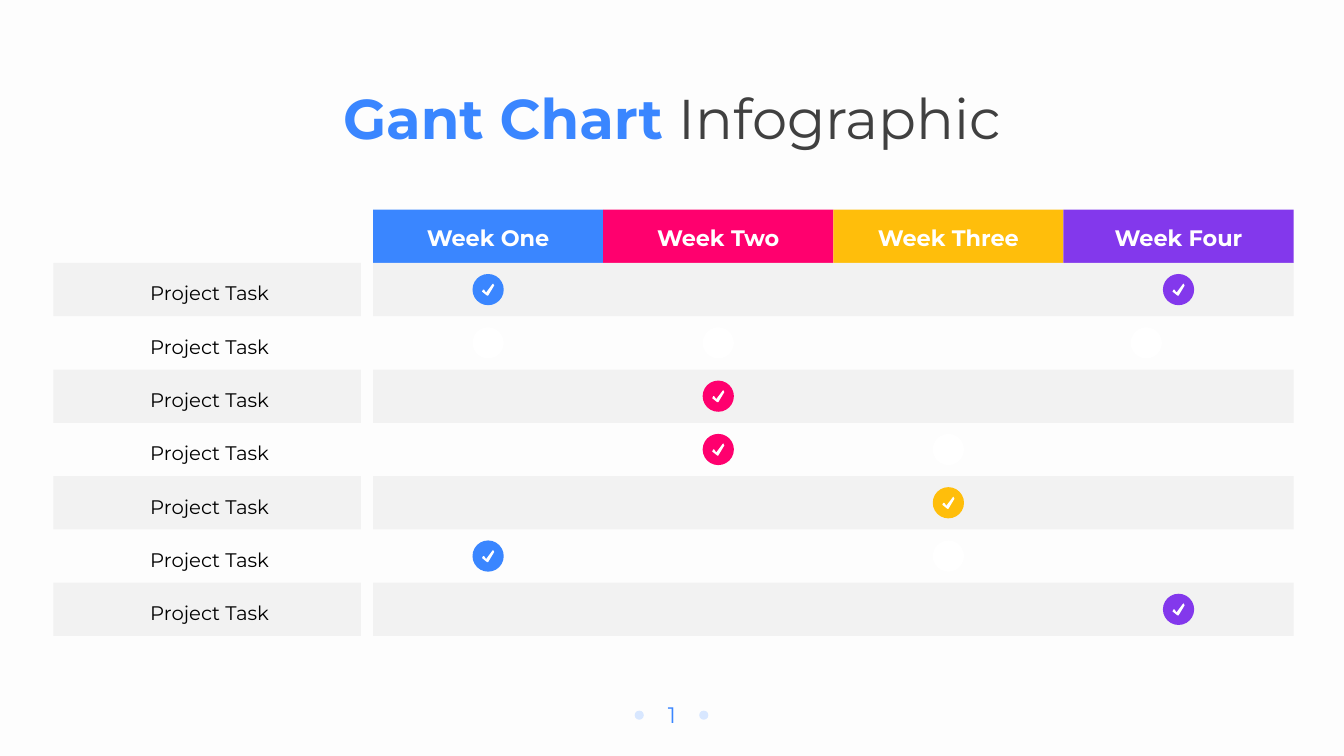
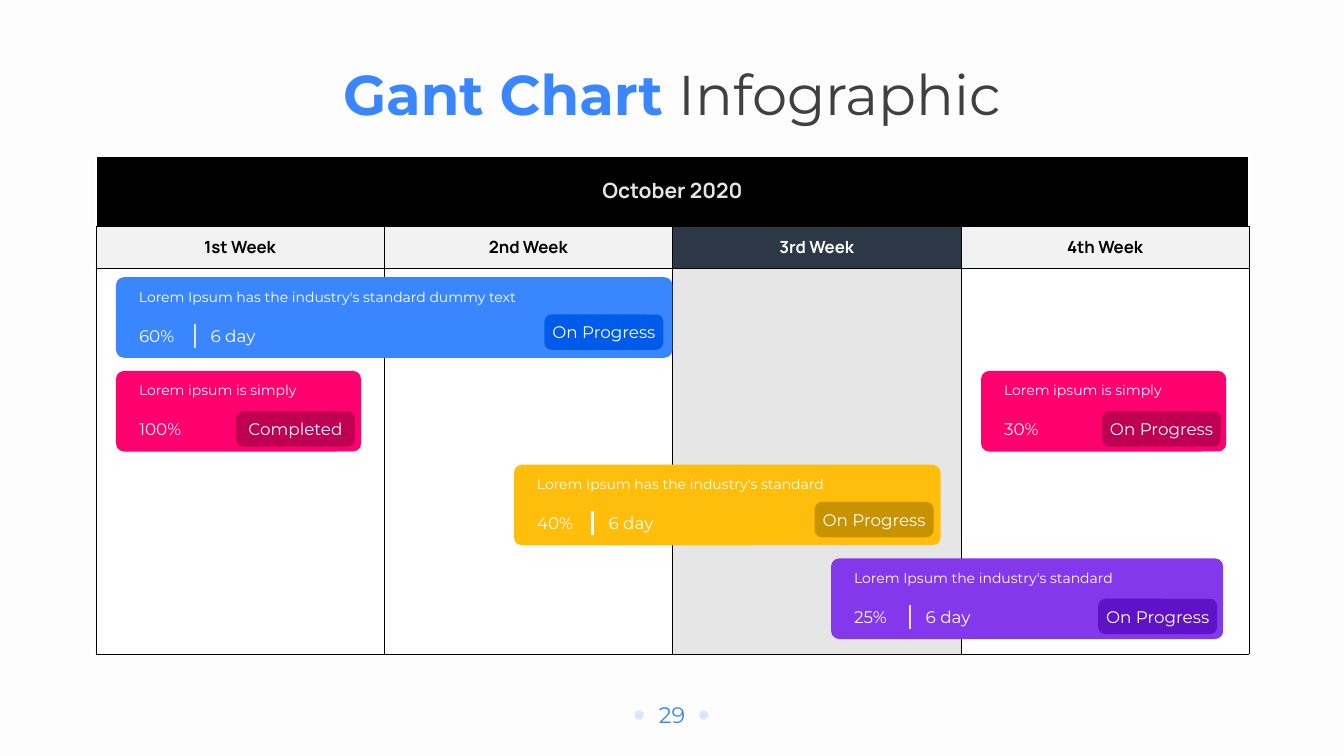
from dataclasses import dataclass

from lxml import etree
from pptx import Presentation
from pptx import util as u
from pptx.dml.color import RGBColor
from pptx.enum import shapes, text
from pptx.oxml import ns

COLOURS = {
    "paper": "FDFDFD", "white": "FFFFFF", "black": "000000", "ink": "404040",
    "blue": "3A86FF", "pink": "FF006E", "yellow": "FFBE0B", "purple": "8338EC",
    "dark blue": "005BEB", "dark pink": "BF0052", "dark yellow": "C89200",
    "dark purple": "5E13C8", "pale blue": "D8E7FF", "band": "F2F2F2",
    "silver": "E7E6E6", "navy": "2D3847",
}
WIDTH, HEIGHT = 13.33, 7.5
BODY_FONT, TABLE_FONT = "Montserrat", "Manrope"
SHAPE = shapes.MSO_SHAPE
CENTER, LEFT = text.PP_ALIGN.CENTER, text.PP_ALIGN.LEFT
TOP, MIDDLE = text.MSO_ANCHOR.TOP, text.MSO_ANCHOR.MIDDLE

WEEKS = [("Week One", "blue"), ("Week Two", "pink"),
         ("Week Three", "yellow"), ("Week Four", "purple")]
TASKS = ["Project Task"] * 7
# Task row and week column of each dot; white dots are open
DONE = [(0, 0), (5, 0), (2, 1), (3, 1), (4, 2), (0, 3), (6, 3)]
OPEN = [(1, 0), (1, 1), (1, 2.86), (3, 2), (5, 2)]
CHECK = [(5, 12), (0, 8), (1, 6), (2, 6), (4, 9), (10, 1), (11, 0), (12, 2), (6, 12)]


@dataclass
class Box:
    left: float
    top: float
    width: float
    height: float

    def inches(self):
        return [u.Inches(n) for n in (self.left, self.top, self.width, self.height)]

    def cell(self, row, column, rows, columns):
        width, height = self.width / columns, self.height / rows
        return Box(self.left + column * width, self.top + row * height, width, height)

    def inside(self, left, top, width, height):
        return Box(self.left + left, self.top + top, width, height)

    def center(self, size):
        return self.inside((self.width - size) / 2, (self.height - size) / 2, size, size)


@dataclass
class Bar:
    """One task bar: start and length in weeks, lane from the top."""
    start: float
    length: float
    lane: int
    colour: str
    title: str
    percent: str
    status: str
    badge_right: float
    badge_top: float
    days: str = ""
    rule: str = "silver"


BARS = [
    Bar(0.07, 1.93, 0, "blue", "Lorem Ipsum has the industry's standard dummy text",
        "60%", "On Progress", 0.09, 0.37, "6 day"),
    Bar(0.07, 0.85, 1, "pink", "Lorem ipsum is simply", "100%", "Completed", 0.06, 0.4),
    Bar(1.45, 1.48, 2, "yellow", "Lorem Ipsum has the industry's standard",
        "40%", "On Progress", 0.07, 0.37, "6 day", "white"),
    Bar(2.55, 1.36, 3, "purple", "Lorem Ipsum the industry's standard",
        "25%", "On Progress", 0.06, 0.4, "6 day"),
    Bar(3.07, 0.85, 1, "pink", "Lorem ipsum is simply", "30%", "On Progress", 0.05, 0.4),
]


def rgb(name):
    return RGBColor.from_string(COLOURS[name])


def style(font, size, colour, bold=False, name=BODY_FONT):
    font.name, font.size, font.bold = name, u.Pt(size), bold
    font.color.rgb = rgb(colour)


def paint(shape, colour):
    shape.shadow.inherit = False
    shape.line.fill.background()
    shape.fill.solid()
    shape.fill.fore_color.rgb = rgb(colour)
    return shape


def add_block(slide, kind, box, colour, radius=None):
    shape = paint(slide.shapes.add_shape(kind, *box.inches()), colour)
    if radius:
        shape.adjustments[0] = radius / box.height
    return shape


def write(shape, words, size, colour, bold=False, align=CENTER, anchor=MIDDLE,
          wrap=False, insets=(0, 0)):
    frame = shape.text_frame
    frame.word_wrap, frame.vertical_anchor = wrap, anchor
    frame.margin_left, frame.margin_top = [u.Inches(n) for n in insets]
    frame.margin_right = frame.margin_bottom = 0
    paragraph = frame.paragraphs[0]
    paragraph.text, paragraph.alignment = words, align
    style(paragraph.font, size, colour, bold)


def add_label(slide, box, words, size, colour="white", align=LEFT):
    write(slide.shapes.add_textbox(*box.inches()), words, size, colour,
          align=align, anchor=TOP, wrap=True,
          insets=(0.1 if align == LEFT else 0, 0.05))


# Shared parts
def add_title(slide, top):
    box = Box((WIDTH - 6.83) / 2, top, 6.83, 0.77)
    frame = slide.shapes.add_textbox(*box.inches()).text_frame
    frame.word_wrap = True
    paragraph = frame.paragraphs[0]
    paragraph.alignment = CENTER
    for words, colour, bold in [("Gant Chart ", "blue", True),
                                ("Infographic", "ink", False)]:
        run = paragraph.add_run()
        run.text = words
        style(run.font, 40, colour, bold)


def add_footer(slide, number):
    box = Box((WIDTH - 0.62) / 2, 6.91, 0.62, 0.37)
    add_label(slide, box, str(number), 16, "blue", CENTER)
    for left in (-0.06, 0.58):
        add_block(slide, SHAPE.OVAL, box.inside(left, 0.14, 0.09, 0.09), "pale blue")


def add_page(presentation, number, title_top):
    slide = presentation.slides.add_slide(presentation.slide_layouts[6])
    add_title(slide, title_top)
    add_footer(slide, number)
    return slide


# Checklist slide
def add_dot(slide, cell, colour, checked):
    dot = cell.center(0.31)
    add_block(slide, SHAPE.OVAL, dot, colour)
    if checked:
        builder = slide.shapes.build_freeform(*CHECK[0], scale=u.Inches(0.01))
        builder.add_line_segments(CHECK[1:], close=True)
        mark = dot.center(0.12)
        paint(builder.convert_to_shape(u.Inches(mark.left), u.Inches(mark.top)), "white")


def add_checklist(slide, box, label_width, gap):
    rows, columns = len(TASKS) + 1, len(WEEKS)
    left = label_width + gap
    labels = Box(box.left, box.top, label_width, box.height)
    grid = box.inside(left, 0, box.width - left, box.height)
    for column, (week, colour) in enumerate(WEEKS):
        header = add_block(slide, SHAPE.RECTANGLE,
                           grid.cell(0, column, rows, columns), colour)
        write(header, week, 16, "white", bold=True, insets=(0, 0.02))
    for row, task in enumerate(TASKS):
        label = add_block(slide, SHAPE.RECTANGLE,
                          labels.cell(row + 1, 0, rows, 1), "band")
        write(label, task, 14, "black", insets=(0.05, 0.07))
        if row % 2:
            label.fill.background()
        else:
            add_block(slide, SHAPE.RECTANGLE, grid.cell(row + 1, 0, rows, 1), "band")
    for row, column in OPEN:
        add_dot(slide, grid.cell(row + 1, column, rows, columns), "white", False)
    for row, column in DONE:
        add_dot(slide, grid.cell(row + 1, column, rows, columns),
                WEEKS[column][1], True)


# Calendar slide
def set_cell(cell, fill, header=False):
    for side in "LRTB":
        outer = header and side != "B"
        line = etree.SubElement(cell._tc.get_or_add_tcPr(), ns.qn("a:ln" + side),
                                w=str(u.Pt(1.5 if outer else 0.25)))
        solid = etree.SubElement(line, ns.qn("a:solidFill"))
        etree.SubElement(solid, ns.qn("a:srgbClr"),
                         val=COLOURS["white" if outer else "black"])
    cell.fill.solid()
    cell.fill.fore_color.rgb = rgb(fill)
    cell.vertical_anchor = MIDDLE


def set_cell_text(cell, words, size, colour):
    paragraph = cell.text_frame.paragraphs[0]
    paragraph.text, paragraph.alignment = words, CENTER
    style(paragraph.font, size, colour, True, TABLE_FONT)


def add_calendar(slide, box, month, weeks, current):
    table = slide.shapes.add_table(3, len(weeks), *box.inches()).table
    table.first_row = table.horz_banding = False
    for row, height in zip(table.rows, (0.69, 0.42, box.height - 1.11)):
        row.height = u.Inches(height)
    for column, week in enumerate(weeks):
        now = column == current
        set_cell(table.cell(0, column), "black", header=True)
        set_cell(table.cell(1, column), "navy" if now else "band")
        set_cell_text(table.cell(1, column), week, 12, "white" if now else "black")
        set_cell(table.cell(2, column), "silver" if now else "white")
    table.cell(0, 0).merge(table.cell(0, len(weeks) - 1))
    set_cell_text(table.cell(0, 0), month, 15, "silver")


def add_bar(slide, box, bar):
    add_block(slide, SHAPE.ROUNDED_RECTANGLE, box, bar.colour, 0.08)
    add_label(slide, box.inside(0.13, 0.06, box.width - 0.13, 0.27), bar.title, 10)
    add_label(slide, box.inside(0.13, 0.43, 0.71, 0.3), bar.percent, 12)
    if bar.days:
        rule = box.inside(0.78, 0.46, 0, 0.24)
        x, top, bottom = [u.Inches(n) for n in (rule.left, rule.top, rule.top + rule.height)]
        line = slide.shapes.add_connector(shapes.MSO_CONNECTOR.STRAIGHT, x, top, x, bottom)
        line.line.color.rgb, line.line.width = rgb(bar.rule), u.Pt(1.5)
        etree.SubElement(line._element.spPr, ns.qn("a:effectLst"))
        add_label(slide, box.inside(0.84, 0.43, 0.71, 0.3), bar.days, 12)
    badge = box.inside(box.width - bar.badge_right - 1.18, bar.badge_top, 1.18, 0.35)
    write(add_block(slide, SHAPE.ROUNDED_RECTANGLE, badge, "dark " + bar.colour, 0.07),
          bar.status, 12, "white")


def add_bars(slide, box, columns):
    week, lane = box.width / columns, 0.93
    for bar in BARS:
        add_bar(slide, box.inside(bar.start * week, 1.2 + bar.lane * lane,
                                  bar.length * week, 0.8), bar)


def main():
    presentation = Presentation()
    presentation.slide_width = u.Inches(WIDTH)
    presentation.slide_height = u.Inches(HEIGHT)
    background = presentation.slide_master.background.fill
    background.solid()
    background.fore_color.rgb = rgb("paper")

    checklist = add_page(presentation, 1, 0.78)
    add_checklist(checklist, Box(0.53, 2.08, 12.3, 4.23), label_width=3.05, gap=0.12)

    calendar = add_page(presentation, 29, 0.54)
    weeks = ["1st Week", "2nd Week", "3rd Week", "4th Week"]
    box = Box(0.95, 1.55, 11.44, 4.94)
    add_calendar(calendar, box, "October 2020", weeks, current=2)
    add_bars(calendar, box, len(weeks))
    presentation.save("out.pptx")


if __name__ == "__main__":
    main()
